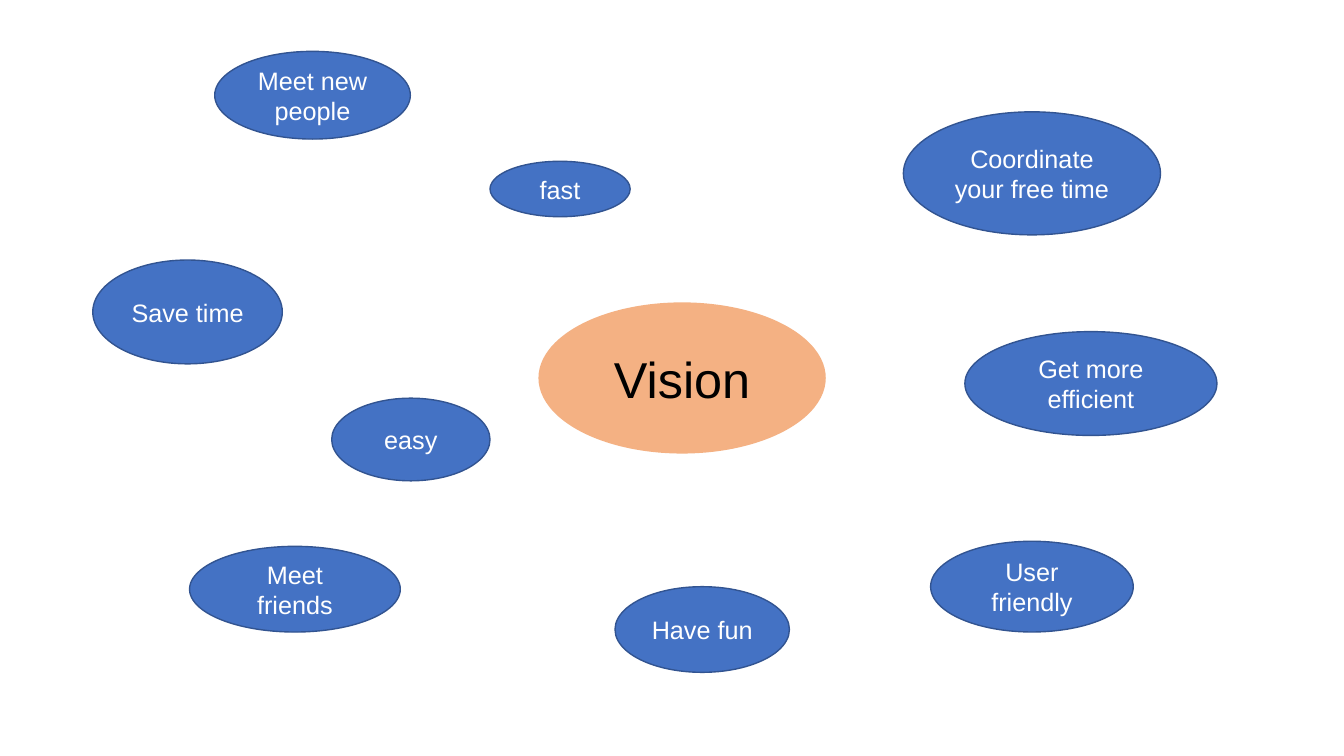
import pptx
import pptx.util
from pptx.dml.color import RGBColor
from pptx.enum.shapes import MSO_SHAPE
from pptx.enum.text import MSO_ANCHOR, PP_ALIGN

PX = 9144  # EMU per px, 100 px to the inch
BLUE = RGBColor(0x44, 0x72, 0xC4)
DARK_BLUE = RGBColor(0x32, 0x54, 0x91)
ORANGE = RGBColor(0xF4, 0xB1, 0x83)
WHITE = RGBColor(0xFF, 0xFF, 0xFF)
BLACK = RGBColor(0, 0, 0)

IDEA_FONT = {"name": "Arial", "size": pptx.util.Pt(18)}
VISION_FONT = {"name": "Arial", "size": pptx.util.Pt(36)}

VISION = ("Vision", 534, 300, 285, 150)
IDEAS = [  # text, left, top, width, height
    ("easy", 329, 395, 157, 82),
    ("fast", 486, 160, 139, 55),
    ("Get more efficient", 957, 329, 250, 103),
    ("Meet friends", 188, 542, 209, 85),
    ("Coordinate your free time", 896, 111, 255, 122),
    ("Meet new people", 213, 51, 194, 87),
    ("Save time", 92, 258, 188, 103),
    ("Have fun", 610, 582, 173, 85),
    ("User friendly", 923, 537, 201, 90),
]


def add_bubble(s, bubble, font, color, fill, line=None):
    """Draw an ellipse with centred text; without a line colour it has no outline."""
    text, *box = bubble
    sp = s.shapes.add_shape(MSO_SHAPE.OVAL, *(v * PX for v in box))
    sp.shadow.inherit = False
    sp.fill.solid()
    sp.fill.fore_color.rgb = fill
    if line is None:
        sp.line.fill.background()
    else:
        sp.line.color.rgb = line
        sp.line.width = pptx.util.Pt(1)
    tf = sp.text_frame
    tf.word_wrap = True
    tf.vertical_anchor = MSO_ANCHOR.MIDDLE
    p = tf.paragraphs[0]
    p.alignment = PP_ALIGN.CENTER
    r = p.add_run()
    r.text = text
    for name, value in font.items():
        setattr(r.font, name, value)
    r.font.color.rgb = color


def main():
    prs = pptx.Presentation()
    prs.slide_width, prs.slide_height = 1333 * PX, 750 * PX
    s = prs.slides.add_slide(prs.slide_layouts[6])
    for idea in IDEAS:
        add_bubble(s, idea, IDEA_FONT, WHITE, BLUE, DARK_BLUE)
    add_bubble(s, VISION, VISION_FONT, BLACK, ORANGE)
    prs.save("out.pptx")


if __name__ == "__main__":
    main()
